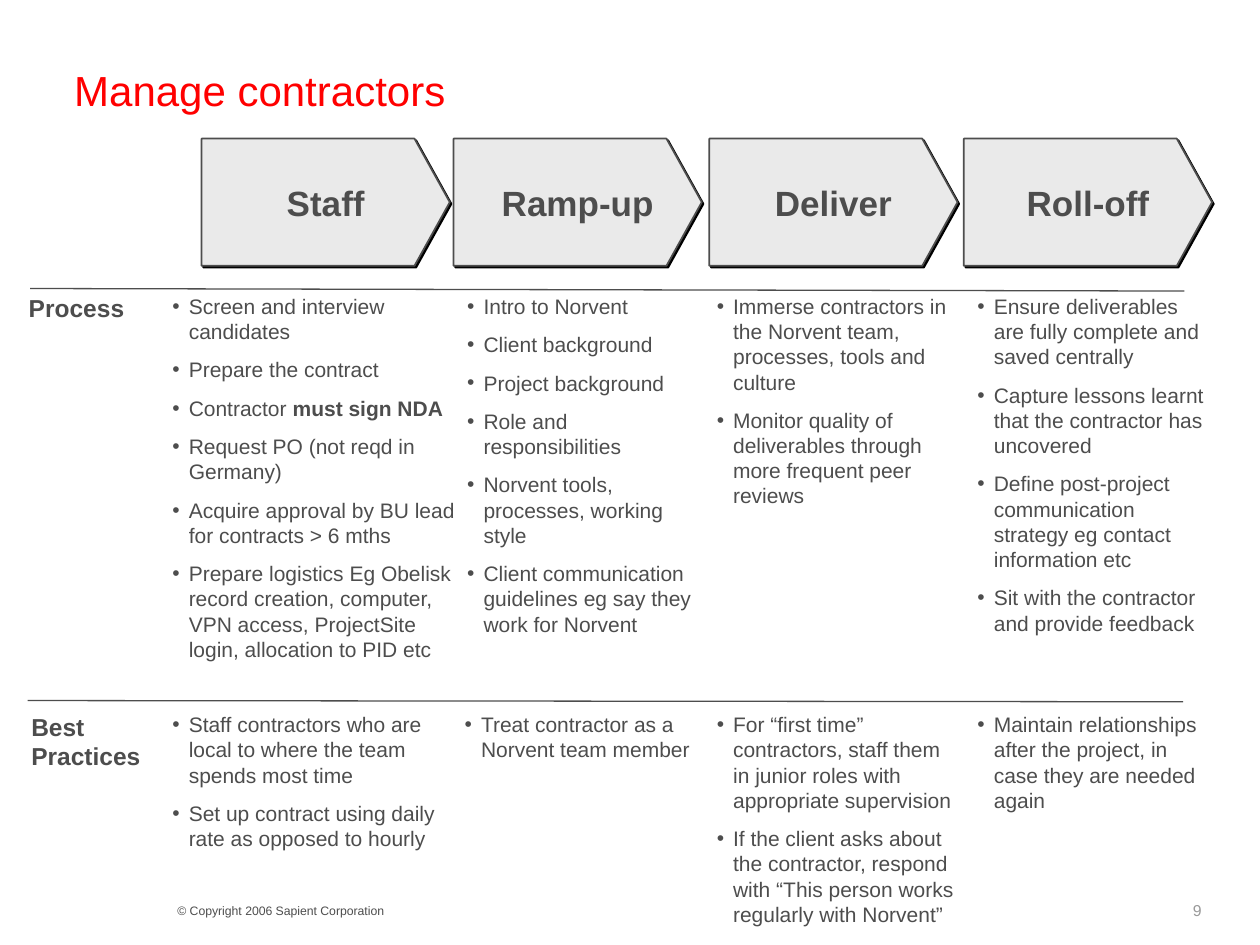
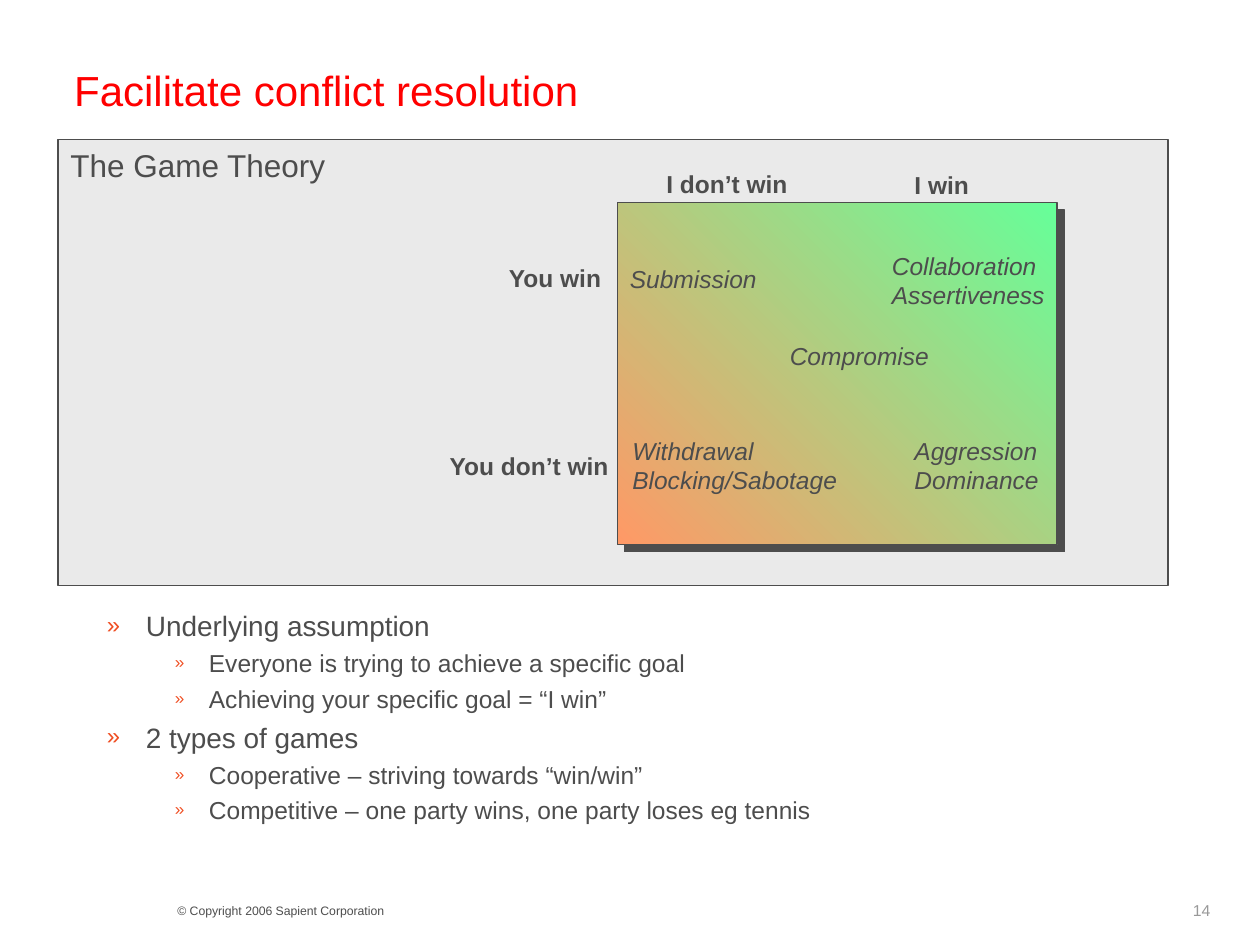
from dataclasses import dataclass
from typing import Optional

from lxml.etree import SubElement
from pptx import Presentation
from pptx.dml.color import RGBColor
from pptx.enum.shapes import MSO_CONNECTOR as Connector, MSO_SHAPE as Preset
from pptx.enum.text import MSO_ANCHOR as Anchor, PP_ALIGN as Align
from pptx.oxml.ns import qn
from pptx.util import Inches, Pt

FONT = "Arial"
COLORS = {
    "title": "FF0000",
    "text": "4D4D4D",
    "page": "999999",
    "panel": "EAEAEA",
    "accent": "F04E22",
    "black": "000000",
    "win": "66FF99",
    "lose": "FF9966",
}


@dataclass(frozen=True)
class Style:
    size: float
    color: str = "text"
    bold: bool = False
    italic: bool = False
    space_before: float = 0
    align: Align = Align.LEFT


@dataclass(frozen=True)
class Bullet:
    char: str
    color: str
    left: float
    hanging: float
    percent: int = 100
    level: int = 0


@dataclass(frozen=True)
class Run:
    text: str
    bold: bool = False


@dataclass(frozen=True)
class Item:
    runs: tuple[Run, ...]
    style: Style
    bullet: Optional[Bullet] = None


@dataclass(frozen=True)
class Label:
    left: float
    top: float
    width: float
    height: float
    text: str


@dataclass(frozen=True)
class Stage:
    name: str
    arrow_left: float
    process_left: float
    practice_left: float
    width: float
    process: tuple
    practices: tuple


TITLE = Style(24, "title")
FOOTER = Style(7)
PAGE = Style(9, "page")
PANEL_TITLE = Style(18)
ARROW = Style(20, bold=True, align=Align.CENTER)
HEADING = Style(14, bold=True)
OUTCOME = Style(14, italic=True)
STEP = Style(12, space_before=7.5)
STEP_BULLET = Bullet("•", "text", 0.13, 0.13)
POINT = Style(16, space_before=4)
POINT_BULLET = Bullet("»", "accent", 0.31, 0.31, 85)
DETAIL = Style(14, space_before=3.5)
DETAIL_BULLET = Bullet("»", "accent", 0.81, 0.27, 70, 1)

# Slide 1 content
PROCESS_TOP, PRACTICES_TOP = 2.28, 5.6
STAGES = [
    Stage("Staff", 1.6, 1.27, 1.27, 2.45, (
        "Screen and interview candidates",
        "Prepare the contract",
        (Run("Contractor "), Run("must sign NDA", True)),
        "Request PO (not reqd in Germany)",
        "Acquire approval by BU lead for contracts > 6 mths",
        "Prepare logistics Eg Obelisk record creation, computer, VPN access, "
        "ProjectSite login, allocation to PID etc",
    ), (
        "Staff contractors who are local to where the team spends most time",
        "Set up contract using daily rate as opposed to hourly",
    )),
    Stage("Ramp-up", 3.6, 3.61, 3.59, 2.06, (
        "Intro to Norvent",
        "Client background",
        "Project background",
        "Role and responsibilities",
        "Norvent tools, processes, working style",
        "Client communication guidelines eg say they work for Norvent",
    ), (
        "Treat contractor as a Norvent team member",
    )),
    Stage("Deliver", 5.63, 5.59, 5.59, 2.08, (
        "Immerse contractors in the Norvent team, processes, tools and culture",
        "Monitor quality of deliverables through more frequent peer reviews",
    ), (
        "For “first time” contractors, staff them in junior roles with "
        "appropriate supervision",
        "If the client asks about the contractor, respond with “This person "
        "works regularly with Norvent”",
    )),
    Stage("Roll-off", 7.65, 7.66, 7.66, 2.03, (
        "Ensure deliverables are fully complete and saved centrally",
        "Capture lessons learnt that the contractor has uncovered",
        "Define post-project communication strategy eg contact information etc",
        "Sit with the contractor and provide feedback",
    ), (
        "Maintain relationships after the project, in case they are needed again",
    )),
]
ROW_LABELS = [
    Label(0.13, PROCESS_TOP, 1.1, 0.34, "Process"),
    Label(0.15, PRACTICES_TOP, 1.37, 0.57, "Best\nPractices"),
]
RULES = [((0.24, 2.29), (9.4, 2.31)), ((0.22, 5.56), (9.39, 5.57))]

# Slide 2 content
OUTCOMES = [
    Label(4.9, 2.05, 1.35, 0.34, "Submission"),
    Label(6.98, 1.94, 1.5, 0.57, "Collaboration\nAssertiveness"),
    Label(4.92, 3.41, 1.95, 0.57, "Withdrawal\nBlocking/Sabotage"),
    Label(7.16, 3.41, 1.3, 0.57, "Aggression\nDominance"),
    Label(6.17, 2.66, 1.4, 0.34, "Compromise"),
]
AXIS_LABELS = [
    Label(5.19, 1.29, 1.3, 0.34, "I don’t win"),
    Label(7.16, 1.3, 0.8, 0.34, "I win"),
    Label(3.94, 2.04, 1.0, 0.34, "You win"),
    Label(3.47, 3.53, 1.76, 0.34, "You don’t win"),
]
GAME_NOTES = {
    "Underlying assumption": [
        "Everyone is trying to achieve a specific goal",
        "Achieving your specific goal = “I win”",
    ],
    "2 types of games": [
        "Cooperative – striving towards “win/win”",
        "Competitive – one party wins, one party loses eg tennis",
    ],
}


def rgb(name: str) -> RGBColor:
    return RGBColor.from_string(COLORS[name])


def make_item(content, style: Style, bullet: Optional[Bullet] = None) -> Item:
    runs = (Run(content),) if isinstance(content, str) else content
    return Item(runs, style, bullet)


def add_bullet(paragraph, bullet: Bullet) -> None:
    paragraph.level = bullet.level
    properties = paragraph._p.get_or_add_pPr()
    properties.set("marL", str(Inches(bullet.left)))
    properties.set("indent", str(-Inches(bullet.hanging)))
    color = SubElement(properties, qn("a:buClr"))
    SubElement(color, qn("a:srgbClr"), val=COLORS[bullet.color])
    SubElement(properties, qn("a:buSzPct"), val=str(bullet.percent * 1000))
    SubElement(properties, qn("a:buFont"), typeface=FONT)
    SubElement(properties, qn("a:buChar"), char=bullet.char)


def write(frame, items: list[Item], anchor: Anchor = Anchor.TOP) -> None:
    frame.word_wrap = True
    frame.vertical_anchor = anchor
    for index, item in enumerate(items):
        paragraph = frame.add_paragraph() if index else frame.paragraphs[0]
        style = item.style
        paragraph.alignment = style.align
        paragraph.space_before = Pt(style.space_before if index else 0)
        if item.bullet:
            add_bullet(paragraph, item.bullet)
        for part in item.runs:
            for number, line in enumerate(part.text.split("\n")):
                if number:
                    paragraph.add_line_break()
                run = paragraph.add_run()
                run.text = line
                run.font.name = FONT
                run.font.size = Pt(style.size)
                run.font.bold = style.bold or part.bold
                run.font.italic = style.italic
                run.font.color.rgb = rgb(style.color)


def add_text(slide, left: float, top: float, width: float, height: float,
             items: list[Item], anchor: Anchor = Anchor.TOP) -> None:
    box = slide.shapes.add_textbox(*map(Inches, (left, top, width, height)))
    write(box.text_frame, items, anchor)


def add_labels(slide, labels: list[Label], style: Style) -> None:
    for label in labels:
        add_text(slide, label.left, label.top, label.width, label.height,
                 [make_item(label.text, style)])


def set_outline(shape, width: float) -> None:
    shape.shadow.inherit = False
    shape.line.color.rgb = rgb("text")
    shape.line.width = Pt(width)


def add_shadow(shape, color: str, distance: float) -> None:
    effects = shape._element.spPr.find(qn("a:effectLst"))
    shadow = SubElement(effects, qn("a:outerShdw"), dist=str(Pt(distance)),
                        dir=str(45 * 60000), algn="ctr", rotWithShape="0")
    SubElement(shadow, qn("a:srgbClr"), val=COLORS[color])


def add_arrow(slide, stage: Stage) -> None:
    left, top, width, height, shoulder = stage.arrow_left, 1.1, 1.97, 1.01, 1.69
    builder = slide.shapes.build_freeform(Inches(left), Inches(top))
    corners = [(shoulder, 0), (width, height / 2), (shoulder, height), (0, height)]
    builder.add_line_segments(
        [(Inches(left + x), Inches(top + y)) for x, y in corners], close=True)
    arrow = builder.convert_to_shape()
    arrow.fill.solid()
    arrow.fill.fore_color.rgb = rgb("panel")
    set_outline(arrow, 1)
    add_shadow(arrow, "black", 1.4)
    write(arrow.text_frame, [make_item(stage.name, ARROW)], Anchor.MIDDLE)


def add_rule(slide, start: tuple[float, float], end: tuple[float, float]) -> None:
    rule = slide.shapes.add_connector(Connector.STRAIGHT, *map(Inches, start + end))
    rule.line.color.rgb = rgb("text")
    rule.line.width = Pt(0.75)
    SubElement(rule._element.spPr, qn("a:effectLst"))


def add_slide(presentation, title: str, page: str):
    slide = presentation.slides.add_slide(presentation.slide_layouts[6])
    add_text(slide, 1.31, 7.12, 4, 0.22,
             [make_item("© Copyright 2006 Sapient Corporation", FOOTER)])
    add_text(slide, 9.37, 7.1, 0.6, 0.24, [make_item(page, PAGE)])
    add_text(slide, 0.49, 0.44, 9.01, 0.55, [make_item(title, TITLE)], Anchor.MIDDLE)
    return slide


def build_contractors(presentation) -> None:
    slide = add_slide(presentation, "Manage contractors", "9")
    for stage in STAGES:
        add_arrow(slide, stage)
        for left, top, height, steps in (
            (stage.process_left, PROCESS_TOP, 3.2, stage.process),
            (stage.practice_left, PRACTICES_TOP, 1.8, stage.practices),
        ):
            add_text(slide, left, top, stage.width, height,
                     [make_item(step, STEP, STEP_BULLET) for step in steps])
    for start, end in RULES:
        add_rule(slide, start, end)
    add_labels(slide, ROW_LABELS, HEADING)


def build_conflict(presentation) -> None:
    slide = add_slide(presentation, "Facilitate conflict resolution", "14")
    # Panel and win/lose matrix
    panel, matrix = (
        slide.shapes.add_shape(Preset.RECTANGLE, *map(Inches, bounds))
        for bounds in ((0.46, 1.11, 8.81, 3.54), (4.9, 1.61, 3.49, 2.71)))
    panel.fill.solid()
    panel.fill.fore_color.rgb = rgb("panel")
    set_outline(panel, 0.75)
    write(panel.text_frame, [make_item("The Game Theory", PANEL_TITLE)])
    matrix.fill.gradient()
    matrix.fill.gradient_angle = 225
    for stop, position, color in zip(matrix.fill.gradient_stops, (0, 1), ("win", "lose")):
        stop.position = position
        stop.color.rgb = rgb(color)
    set_outline(matrix, 0.75)
    add_shadow(matrix, "text", 5.7)
    add_labels(slide, OUTCOMES, OUTCOME)
    add_labels(slide, AXIS_LABELS, HEADING)
    # Notes below the panel
    notes = []
    for point, details in GAME_NOTES.items():
        notes.append(make_item(point, POINT, POINT_BULLET))
        notes += [make_item(detail, DETAIL, DETAIL_BULLET) for detail in details]
    add_text(slide, 0.75, 4.78, 8.13, 2.33, notes)


def main() -> None:
    presentation = Presentation()
    presentation.slide_width, presentation.slide_height = Inches(10), Inches(7.5)
    build_contractors(presentation)
    build_conflict(presentation)
    presentation.save("out.pptx")


if __name__ == "__main__":
    main()
